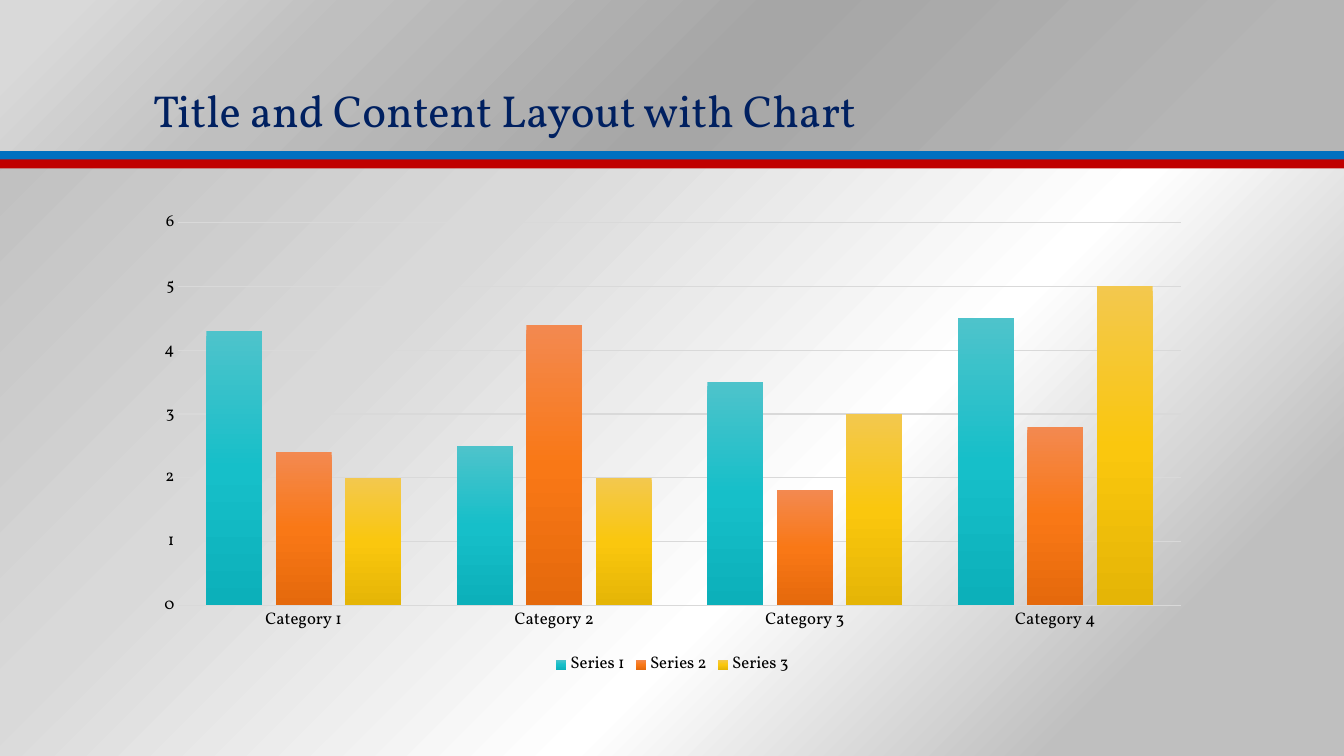
from pptx import Presentation
from pptx.chart.data import CategoryChartData
from pptx.dml.color import RGBColor
from pptx.enum.chart import XL_CHART_TYPE, XL_LEGEND_POSITION, XL_TICK_MARK
from pptx.enum.shapes import MSO_SHAPE
from pptx.enum.text import MSO_ANCHOR
from pptx.oxml import parse_xml
from pptx.oxml.ns import nsdecls
from pptx.util import Inches, Pt

FONT = "Vollkorn"
NAVY = RGBColor(0x00, 0x20, 0x60)
BLUE = RGBColor(0x00, 0x70, 0xC0)
RED = RGBColor(0xC0, 0x00, 0x00)
BLACK = RGBColor(0x00, 0x00, 0x00)
SILVER = RGBColor(0xD9, 0xD9, 0xD9)
GREY = RGBColor(0xBF, 0xBF, 0xBF)
MID_GREY = RGBColor(0xB5, 0xB5, 0xB5)
DARK_GREY = RGBColor(0xA6, 0xA6, 0xA6)
WHITE = RGBColor(0xFF, 0xFF, 0xFF)
TEALS = [RGBColor(0x4E, 0xC3, 0xCB), RGBColor(0x16, 0xBF, 0xC9), RGBColor(0x0C, 0xB0, 0xBA)]
ORANGES = [RGBColor(0xF3, 0x89, 0x50), RGBColor(0xF9, 0x78, 0x16), RGBColor(0xE5, 0x69, 0x0C)]
YELLOWS = [RGBColor(0xF3, 0xC8, 0x4E), RGBColor(0xFA, 0xC7, 0x0E), RGBColor(0xE5, 0xB5, 0x06)]

FROM_TOP_LEFT = '<a:path path="circle"><a:fillToRect r="100000" b="100000"/></a:path>'
FROM_BOTTOM_RIGHT = '<a:path path="circle"><a:fillToRect l="100000" t="100000"/></a:path>'
DOWNWARD = '<a:lin ang="5400000" scaled="0"/>'

SLIDE_WIDTH = Inches(13.33)
CATEGORIES = ["Category 1", "Category 2", "Category 3", "Category 4"]
SERIES = [
    ("Series 1", (4.3, 2.5, 3.5, 4.5), TEALS),
    ("Series 2", (2.4, 4.4, 1.8, 2.8), ORANGES),
    ("Series 3", (2, 2, 3, 5), YELLOWS),
]


def set_gradient(fill, element, stops, direction):
    """Fill the owner element with a gradient of (percent, colour) stops."""
    fill.gradient()
    gradient = element.xpath(".//a:gradFill")[0]
    stop_xml = "".join(
        f'<a:gs pos="{percent * 1000}"><a:srgbClr val="{color}"/></a:gs>'
        for percent, color in stops
    )
    gradient.getparent().replace(gradient, parse_xml(
        f'<a:gradFill {nsdecls("a")} rotWithShape="1">'
        f"<a:gsLst>{stop_xml}</a:gsLst>{direction}</a:gradFill>"
    ))


def add_band(slide, top, height):
    """Add a borderless full-width band and return it."""
    band = slide.shapes.add_shape(MSO_SHAPE.RECTANGLE, 0, Inches(top), SLIDE_WIDTH, Inches(height))
    band.shadow.inherit = False
    band.line.fill.background()
    return band


def add_stripe(slide, top, color):
    """Add a thin solid stripe below the header."""
    stripe = add_band(slide, top, 0.09)
    stripe.fill.solid()
    stripe.fill.fore_color.rgb = color


def style_font(font, size, color):
    """Apply the slide's typeface with a size and colour."""
    font.name = FONT
    font.size = Pt(size)
    font.color.rgb = color


def add_title(slide, text):
    """Add the title at the foot of the header."""
    title = slide.shapes.add_textbox(Inches(1.42), Inches(0.28), Inches(10.5), Inches(1.13))
    frame = title.text_frame
    frame.word_wrap = True
    frame.vertical_anchor = MSO_ANCHOR.BOTTOM
    paragraph = frame.paragraphs[0]
    paragraph.text = text
    paragraph.line_spacing = 0.9
    style_font(paragraph.font, 32, NAVY)


def style_axis(axis, has_gridlines):
    """Style an axis's labels and ticks, with gridlines or an axis line."""
    axis.major_tick_mark = axis.minor_tick_mark = XL_TICK_MARK.NONE
    axis.has_major_gridlines = has_gridlines
    style_font(axis.tick_labels.font, 12, BLACK)
    if has_gridlines:
        axis.format.line.fill.background()
    rule = axis.major_gridlines.format.line if has_gridlines else axis.format.line
    rule.color.rgb = SILVER
    rule.width = Pt(0.75)


def add_column_chart(slide):
    """Add the clustered columns with their axes and legend."""
    data = CategoryChartData()
    data.categories = CATEGORIES
    for name, values, _ in SERIES:
        data.add_series(name, values)
    chart = slide.shapes.add_chart(
        XL_CHART_TYPE.COLUMN_CLUSTERED, Inches(1.42), Inches(2), Inches(10.5), Inches(4.75), data
    ).chart
    chart.has_title = False
    style_font(chart.font, 12, BLACK)

    plot = chart.plots[0]
    plot.gap_width = 100
    plot.overlap = -24
    plot.vary_by_categories = False
    for series, (_, _, colors) in zip(plot.series, SERIES):
        stops = zip((0, 50, 100), colors)
        set_gradient(series.format.fill, series._element, stops, DOWNWARD)

    style_axis(chart.category_axis, has_gridlines=False)
    style_axis(chart.value_axis, has_gridlines=True)
    chart.value_axis.minimum_scale = 0
    chart.value_axis.maximum_scale = 6
    chart.value_axis.major_unit = 1

    chart.has_legend = True
    chart.legend.position = XL_LEGEND_POSITION.BOTTOM
    chart.legend.include_in_layout = False
    style_font(chart.legend.font, 12, BLACK)


def main():
    """Build the slide and save it."""
    presentation = Presentation()
    presentation.slide_width = SLIDE_WIDTH
    presentation.slide_height = Inches(7.5)
    slide = presentation.slides.add_slide(presentation.slide_layouts[6])

    backdrop_stops = [(14, GREY), (37, WHITE), (66, SILVER), (94, GREY)]
    set_gradient(slide.background.fill, slide.element, backdrop_stops, FROM_BOTTOM_RIGHT)

    header = add_band(slide, 0, 1.5)
    header_stops = [(5, SILVER), (24, GREY), (53, DARK_GREY), (90, MID_GREY)]
    set_gradient(header.fill, header.element, header_stops, FROM_TOP_LEFT)
    add_stripe(slide, 1.5, BLUE)
    add_stripe(slide, 1.58, RED)

    add_title(slide, "Title and Content Layout with Chart")
    add_column_chart(slide)
    presentation.save("out.pptx")


main()
